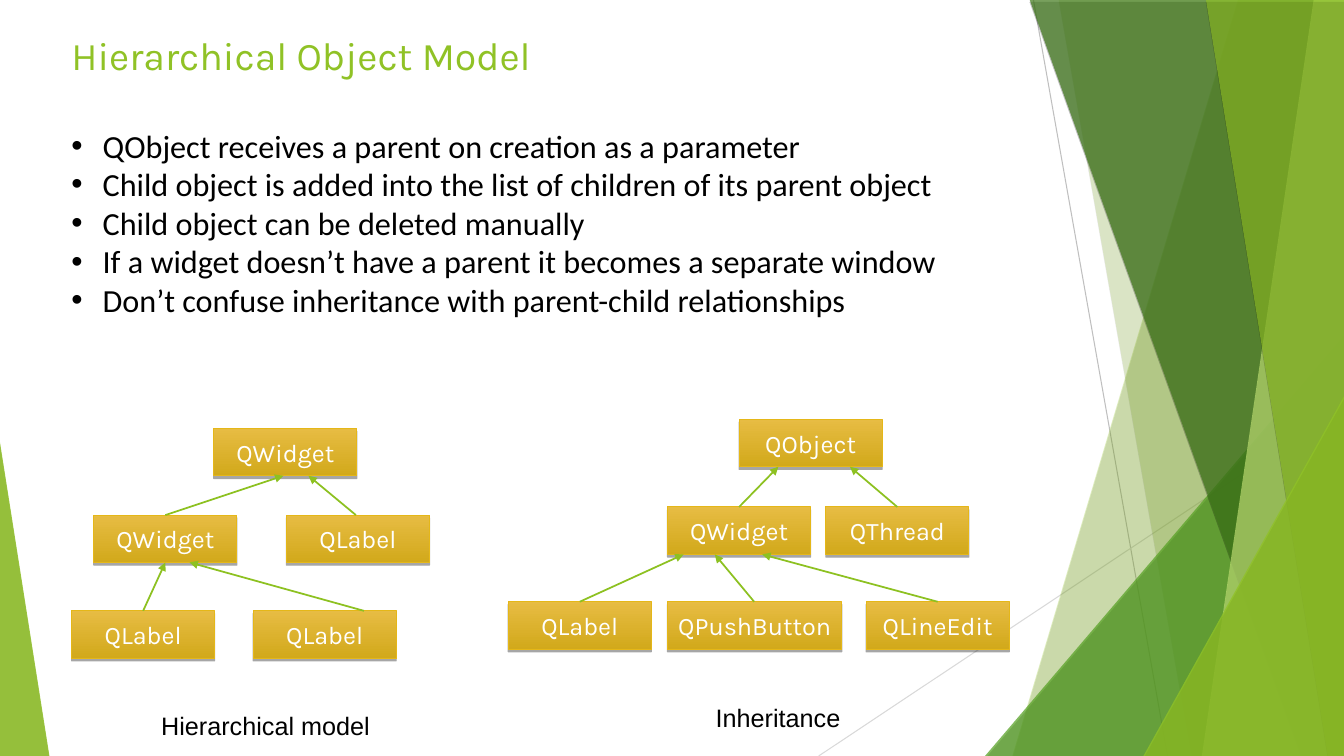
from dataclasses import dataclass

from lxml import etree
from pptx import Presentation
from pptx.dml.color import RGBColor
from pptx.enum.shapes import MSO_CONNECTOR, MSO_SHAPE
from pptx.enum.text import MSO_ANCHOR, MSO_AUTO_SIZE, PP_ALIGN
from pptx.oxml.ns import qn
from pptx.shapes.autoshape import Shape
from pptx.slide import Slide
from pptx.text.text import TextFrame
from pptx.util import Pt

PX = 9144  # EMU per px, 100 px to the inch
RECT, TRIANGLE = MSO_SHAPE.RECTANGLE, MSO_SHAPE.RIGHT_TRIANGLE
ISOSCELES = MSO_SHAPE.ISOSCELES_TRIANGLE
STRAIGHT = MSO_CONNECTOR.STRAIGHT
CENTER, LEFT = PP_ALIGN.CENTER, PP_ALIGN.LEFT
MIDDLE, TOP = MSO_ANCHOR.MIDDLE, MSO_ANCHOR.TOP
GROW, FIXED = MSO_AUTO_SIZE.SHAPE_TO_FIT_TEXT, MSO_AUTO_SIZE.NONE

WIDTH, HEIGHT = 1333, 750
NODE_HEIGHT = 47
BULLET_INDENT = 31
GREEN, BLACK, WHITE = "90C226", "000000", "FFFFFF"
NODE_FORMAT = {"name": "Karla", "size": Pt(18), "color": WHITE}
TITLE_FORMAT = {"name": "Karla", "size": Pt(28), "color": GREEN}
BODY_FORMAT = {"name": "Calibri", "size": Pt(23), "color": BLACK}
CAPTION_FORMAT = {"name": "Arial", "size": Pt(18), "color": BLACK}


@dataclass
class Facet:
    """Slanted panel that runs from the top to the bottom edge of the slide."""
    top_left: int
    top_right: int
    bottom_right: int
    bottom_left: int
    color: str
    alpha: int


@dataclass
class Wedge:
    left: int
    top: int
    width: int
    apex: int
    color: str
    alpha: int


@dataclass
class Node:
    """Class box; its arrow runs from start_x to tip_x on the row above."""
    text: str
    left: int
    width: int = 142
    start_x: int = 0
    tip_x: int = 0


@dataclass
class Tree:
    rows: dict[int, list[Node]]
    caption: str
    caption_box: tuple[int, int, int, int]


DECOR = [
    Facet(1228, WIDTH, WIDTH, 1004, GREEN, 30),
    Facet(1050, WIDTH, WIDTH, 1182, GREEN, 20),
    Wedge(977, 333, 356, 1, "54A021", 72),
    Facet(1021, WIDTH, WIDTH, 1291, "3F7819", 70),
    Facet(1303, WIDTH, WIDTH, 1192, "C0E474", 70),
    Facet(1196, WIDTH, WIDTH, 1317, GREEN, 65),
    Wedge(1134, 393, 199, 1, GREEN, 80),
    Wedge(0, 439, 49, 0, GREEN, 85),
]
TREES = [
    Tree({416: [Node("QObject", 733)],
          503: [Node("QWidget", 662, start_x=733, tip_x=772),
                Node("QThread", 819, start_x=890, tip_x=843)],
          597: [Node("QLabel", 504, start_x=575, tip_x=678),
                Node("QPushButton", 662, 173, start_x=748, tip_x=709),
                Node("QLineEdit", 859, start_x=930, tip_x=756)]},
         "Inheritance", (700, 692, 153, 38)),
    Tree({425: [Node("QWidget", 212)],
          511: [Node("QWidget", 93, start_x=164, tip_x=281),
                Node("QLabel", 284, start_x=353, tip_x=306)],
          606: [Node("QLabel", 71, start_x=142, tip_x=164),
                Node("QLabel", 251, start_x=361, tip_x=188)]},
         "Hierarchical model", (150, 700, 243, 38)),
]
BULLETS = [
    "QОbject receives a parent on creation as a parameter",
    "Child object is added into the list of children of its parent object",
    "Child object can be deleted manually",
    "If a widget doesn’t have a parent it becomes a separate window",
    "Don’t confuse inheritance with parent-child relationships",
]


def rgb(color: str) -> RGBColor:
    return RGBColor.from_string(color)


def add_sub(parent: etree._Element, tag: str, **attrs: str) -> etree._Element:
    return etree.SubElement(parent, qn(tag), attrs)


def add_shadow(shape: Shape) -> None:
    shape.shadow.inherit = False
    effects = shape._element.spPr.find(qn("a:effectLst"))
    shadow = add_sub(effects, "a:outerShdw", blurRad="0", dist=str(Pt(2)),
                     dir="5400000", algn="ctr", rotWithShape="0")
    add_sub(add_sub(shadow, "a:srgbClr", val=BLACK), "a:alpha", val="35000")


def add_line(s: Slide, x1: int, y1: int, x2: int, y2: int, color: str,
             weight: float, arrow: bool = False) -> None:
    line = s.shapes.add_connector(STRAIGHT, *(v * PX for v in (x1, y1, x2, y2)))
    line.line.color.rgb = rgb(color)
    line.line.width = Pt(weight)
    if arrow:
        add_sub(line.line._get_or_add_ln(), "a:tailEnd", type="triangle")
    add_sub(line._element.spPr, "a:effectLst")


def add_decor(s: Slide, item: Facet | Wedge) -> None:
    if isinstance(item, Facet):
        builder = s.shapes.build_freeform(item.top_left, -1, scale=PX)
        builder.add_line_segments([(item.top_right, -1), (item.bottom_right, HEIGHT),
                                   (item.bottom_left, HEIGHT)])
        shape = builder.convert_to_shape()
    else:
        shape = s.shapes.add_shape(ISOSCELES, item.left * PX, item.top * PX,
                                   item.width * PX, (HEIGHT - item.top) * PX)
        shape.adjustments[0] = item.apex
    shape.fill.solid()
    shape.fill.fore_color.rgb = rgb(item.color)
    color = shape._element.spPr.find(qn("a:solidFill")).find(qn("a:srgbClr"))
    add_sub(color, "a:alpha", val=str(item.alpha * 1000))
    shape.line.fill.background()
    add_shadow(shape)


def write(tf: TextFrame, lines: list[str], fmt: dict, align: int = LEFT,
          bulleted: bool = False) -> None:
    for i, text in enumerate(lines):
        p = tf.paragraphs[0] if i == 0 else tf.add_paragraph()
        p.alignment = align
        if bulleted:
            props = p._p.get_or_add_pPr()
            props.set("marL", str(BULLET_INDENT * PX))
            props.set("indent", str(-BULLET_INDENT * PX))
            add_sub(add_sub(props, "a:buClr"), "a:srgbClr", val=BLACK)
            add_sub(props, "a:buFont", typeface="Arial")
            add_sub(props, "a:buChar", char="•")
        r = p.add_run()
        r.text = text
        for key, value in fmt.items():
            if key == "color":
                r.font.color.rgb = rgb(value)
            else:
                setattr(r.font, key, value)


def add_text(s: Slide, box: tuple[int, int, int, int], lines: list[str], fmt: dict,
             auto_size: int = GROW, bulleted: bool = False) -> None:
    tf = s.shapes.add_textbox(*(v * PX for v in box)).text_frame
    for key, value in {"word_wrap": True, "auto_size": auto_size,
                       "vertical_anchor": TOP}.items():
        setattr(tf, key, value)
    write(tf, lines, fmt, bulleted=bulleted)


def add_node(s: Slide, node: Node, top: int) -> None:
    shape = s.shapes.add_shape(RECT, node.left * PX, top * PX,
                               node.width * PX, NODE_HEIGHT * PX)
    shape.fill.gradient()
    shape.fill.gradient_angle = 90
    for stop, color, position in zip(shape.fill.gradient_stops, ("D2A91B", "E7BC43"), (0, 1)):
        stop.color.rgb = rgb(color)
        stop.position = position
    shape.line.color.rgb = rgb("E5B718")
    shape.line.width = Pt(0.75)
    add_shadow(shape)
    shape.text_frame.vertical_anchor = MIDDLE
    shape.text_frame.word_wrap = True
    write(shape.text_frame, [node.text], NODE_FORMAT, CENTER)


def add_tree(s: Slide, tree: Tree) -> None:
    parent_bottom = 0
    for top, nodes in tree.rows.items():
        for node in nodes:
            add_node(s, node, top)
            if node.tip_x:
                add_line(s, node.start_x, top, node.tip_x, parent_bottom,
                         "8DC121", 1.25, arrow=True)
        parent_bottom = top + NODE_HEIGHT
    add_text(s, tree.caption_box, [tree.caption], CAPTION_FORMAT)


def main() -> None:
    prs = Presentation()
    prs.slide_width, prs.slide_height = WIDTH * PX, HEIGHT * PX
    s = prs.slides.add_slide(prs.slide_layouts[6])
    add_line(s, 1025, 0, 1158, HEIGHT, "BFBFBF", 0.75)
    add_line(s, WIDTH, 403, 812, HEIGHT, "D9D9D9", 0.75)
    for item in DECOR:
        add_decor(s, item)
    for tree in TREES:
        add_tree(s, tree)
    add_text(s, (61, 120, 922, 203), BULLETS, BODY_FORMAT, bulleted=True)
    add_text(s, (61, 26, 940, 73), ["Hierarchical Object Model"], TITLE_FORMAT, FIXED)
    prs.save("out.pptx")


if __name__ == "__main__":
    main()
